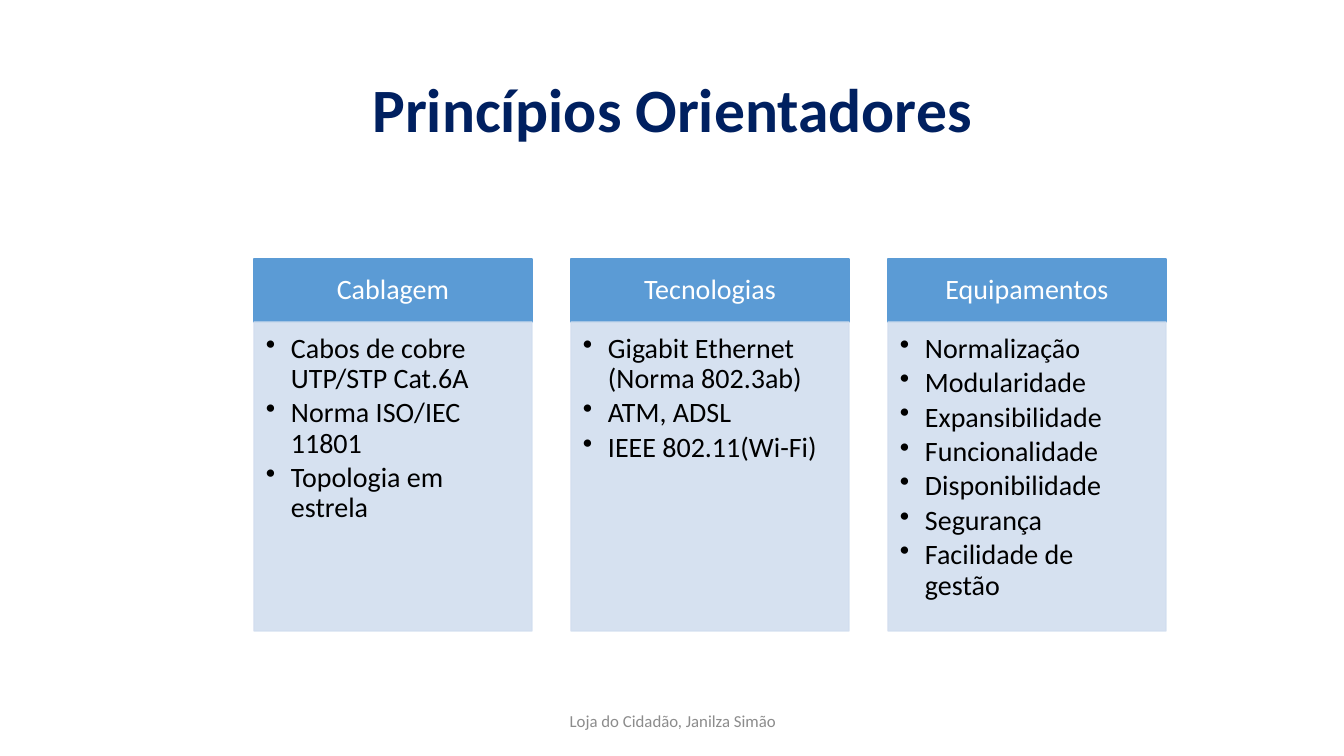
from lxml import etree
from pptx import Presentation
from pptx.dml.color import RGBColor
from pptx.enum.shapes import MSO_SHAPE
from pptx.enum.text import MSO_ANCHOR, PP_ALIGN
from pptx.oxml.ns import qn
from pptx.util import Emu, Pt

RECTANGLE = MSO_SHAPE.RECTANGLE
TOP, MIDDLE = MSO_ANCHOR.TOP, MSO_ANCHOR.MIDDLE
LEFT, CENTER = PP_ALIGN.LEFT, PP_ALIGN.CENTER
EMU_PER_PIXEL = 914400 / 100.8


def px(pixels):
    return Emu(round(pixels * EMU_PER_PIXEL))


def color(hex_string):
    return RGBColor.from_string(hex_string)


def set_values(target, values):
    for name, value in values.items():
        setattr(target, name, value)


class SlideBuilder:
    font_name = "Calibri"
    bullet_indent = 25
    margin_names = ("margin_left", "margin_top", "margin_right", "margin_bottom")

    def __init__(self, presentation):
        self.slide = presentation.slides.add_slide(presentation.slide_layouts[6])

    def fill_text(self, shape, lines, font, paragraph_format, anchor=MIDDLE,
                  margins=(10, 5, 10, 5), bulleted=False):
        frame = shape.text_frame
        set_values(frame, {"word_wrap": True, "vertical_anchor": anchor})
        set_values(frame, dict(zip(self.margin_names, map(px, margins))))
        frame.text = "\n".join(lines)
        for paragraph in frame.paragraphs:
            set_values(paragraph, paragraph_format)
            run_font = paragraph.runs[0].font
            run_font.color.rgb = color(font["color"])
            set_values(run_font, {"name": self.font_name, "size": Pt(font["size"]),
                                  "bold": font.get("bold", False)})
            if bulleted:
                self.add_bullet(paragraph)

    def add_bullet(self, paragraph):
        properties = paragraph._p.get_or_add_pPr()
        indent = px(self.bullet_indent)
        properties.set("marL", str(indent))
        properties.set("indent", str(-indent))
        etree.SubElement(properties, qn("a:buChar"), char="•")

    def text(self, box, lines, font, paragraph_format):
        shape = self.slide.shapes.add_textbox(*map(px, box))
        self.fill_text(shape, lines, font, paragraph_format)

    def panel(self, box, fill, opacity=100):
        shape = self.slide.shapes.add_shape(RECTANGLE, *map(px, box))
        shape.shadow.inherit = False
        shape.fill.solid()
        shape.fill.fore_color.rgb = color(fill)
        shape.line.color.rgb = color(fill)
        shape.line.width = Pt(1)
        if opacity < 100:
            for rgb in shape._element.spPr.iter(qn("a:srgbClr")):
                etree.SubElement(rgb, qn("a:alpha"), val=str(opacity * 1000))
        return shape


presentation = Presentation()
set_values(presentation, {"slide_width": px(1344), "slide_height": px(756)})
builder = SlideBuilder(presentation)

# Title
builder.text((93, 40, 1159, 146), ["Princípios Orientadores"],
             {"size": 44, "color": "002060", "bold": True},
             {"alignment": CENTER, "line_spacing": 0.9})

# Columns: a heading above a bulleted panel
columns = {
    "Cablagem": ["Cabos de cobre UTP/STP Cat.6A", "Norma ISO/IEC 11801",
                 "Topologia em estrela"],
    "Tecnologias": ["Gigabit Ethernet (Norma 802.3ab)", "ATM, ADSL",
                    "IEEE 802.11(Wi-Fi)"],
    "Equipamentos": ["Normalização", "Modularidade", "Expansibilidade",
                     "Funcionalidade", "Disponibilidade", "Segurança",
                     "Facilidade de gestão"],
}
first_left, column_width, column_gap = 254, 278, 39
heading_top, heading_height, body_height = 259, 63, 309
heading_format = {"alignment": CENTER, "line_spacing": 0.9}
item_format = {"alignment": LEFT, "line_spacing": 0.9, "space_after": Pt(3)}

for index, (heading, items) in enumerate(columns.items()):
    left = first_left + index * (column_width + column_gap)
    heading_panel = builder.panel(
        (left, heading_top, column_width, heading_height), "5B9BD5")
    builder.fill_text(heading_panel, [heading], {"size": 20, "color": "FFFFFF"},
                      heading_format, margins=(16, 9, 16, 9))
    body_panel = builder.panel(
        (left, heading_top + heading_height, column_width, body_height), "D2DEEF", 90)
    builder.fill_text(body_panel, items, {"size": 20, "color": "000000"}, item_format,
                      anchor=TOP, margins=(12, 12, 16, 17), bulleted=True)

# Footer
builder.text((446, 701, 454, 40), ["Loja do Cidadão, Janilza Simão"],
             {"size": 12, "color": "8C8C8C"}, {"alignment": CENTER})

presentation.save("out.pptx")
